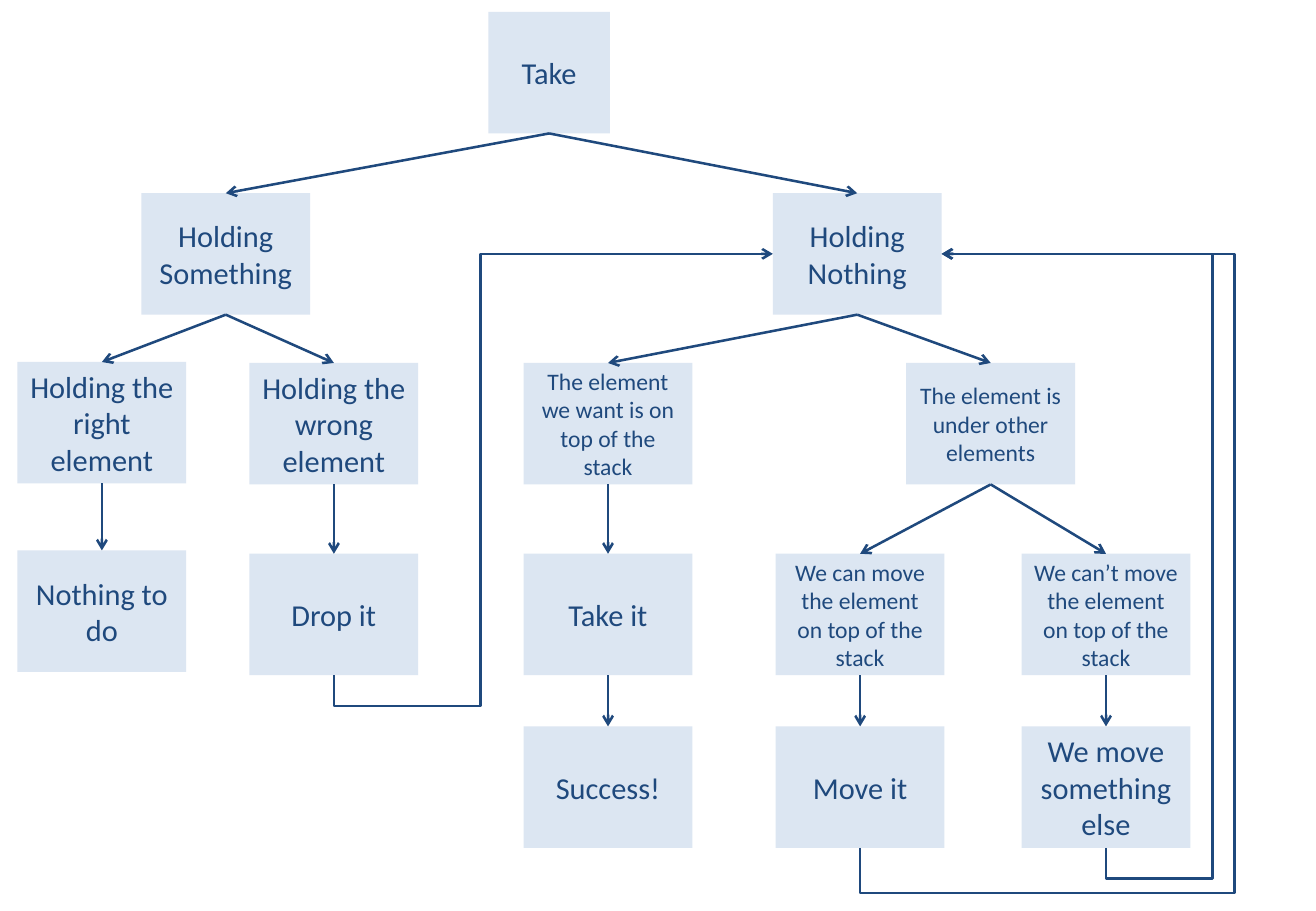
import pptx
import pptx.dml.color
import pptx.enum.shapes
import pptx.enum.text
import pptx.oxml.ns
import pptx.util
import lxml.etree

Cm = pptx.util.Cm
qn = pptx.oxml.ns.qn
THEME = {
    "font": "Calibri",
    "ink": pptx.dml.color.RGBColor.from_string("1F497D"),
    "box": pptx.dml.color.RGBColor.from_string("DCE6F2"),
    "large": pptx.util.Pt(18),
    "small": pptx.util.Pt(14),
    "line": pptx.util.Pt(1.5),
}
BOX_WIDTH, BOX_HEIGHT = 3.53, 2.54
TOP, LEFT, BOTTOM, RIGHT = range(4)
ROWS = [0.25, 4.04, 7.59, 11.58, 15.19]

STEPS = {
    "take": ("Take", 11.48, ROWS[0], "large"),
    "something": ("Holding Something", 4.72, ROWS[1], "large"),
    "nothing": ("Holding Nothing", 17.92, ROWS[1], "large"),
    "right": ("Holding the right element", 2.13, 7.57, "large"),
    "wrong": ("Holding the wrong\nelement", 6.98, ROWS[2], "large"),
    "on top": ("The element we want is on top of the stack", 12.71, ROWS[2], "small"),
    "under": ("The element is under other elements", 20.71, ROWS[2], "small"),
    "done": ("Nothing to do", 2.13, 11.51, "large"),
    "drop": ("Drop it", 6.98, ROWS[3], "large"),
    "take it": ("Take it", 12.71, ROWS[3], "large"),
    "movable": ("We can move the element on top of the stack", 17.98, ROWS[3], "small"),
    "stuck": ("We can’t move the element on top of the stack", 23.12, ROWS[3], "small"),
    "success": ("Success!", 12.71, ROWS[4], "large"),
    "move": ("Move it", 17.98, ROWS[4], "large"),
    "move else": ("We move something else", 23.12, ROWS[4], "large"),
}
BRANCHES = [
    ("take", "something"), ("take", "nothing"),
    ("something", "right"), ("something", "wrong"),
    ("right", "done"), ("wrong", "drop"),
    ("nothing", "on top"), ("nothing", "under"),
    ("on top", "take it"), ("take it", "success"),
    ("under", "movable"), ("under", "stuck"),
    ("movable", "move"), ("stuck", "move else"),
]
RETURNS = [
    ("drop", LEFT, 0.64, 10.04),
    ("move else", RIGHT, 0.64, 25.35),
    ("move", RIGHT, 0.94, 25.81),
]

deck = pptx.Presentation()
deck.slide_width, deck.slide_height = Cm(27.51), Cm(19.05)
slide = deck.slides.add_slide(deck.slide_layouts[6])


def add_arrow(style, source, target, target_side):
    arrow = slide.shapes.add_connector(style, 0, 0, 0, 0)
    arrow.begin_connect(source, BOTTOM)
    arrow.end_connect(target, target_side)
    arrow.line.color.rgb = THEME["ink"]
    arrow.line.width = THEME["line"]
    properties = arrow._element.spPr
    lxml.etree.SubElement(properties.find(qn("a:ln")), qn("a:tailEnd"), type="arrow")
    lxml.etree.SubElement(properties, qn("a:effectLst"))
    return arrow


boxes = {}
for step, (wording, center, top, size) in STEPS.items():
    width = BOX_HEIGHT if step == "take" else BOX_WIDTH
    box = slide.shapes.add_shape(
        pptx.enum.shapes.MSO_SHAPE.RECTANGLE,
        Cm(center - width / 2), Cm(top), Cm(width), Cm(BOX_HEIGHT))
    box.shadow.inherit = False
    box.fill.solid()
    box.fill.fore_color.rgb = THEME["box"]
    box.line.fill.background()
    box.text_frame.text = wording
    box.text_frame.word_wrap = True
    box.text_frame.vertical_anchor = pptx.enum.text.MSO_ANCHOR.MIDDLE
    for paragraph in box.text_frame.paragraphs:
        paragraph.alignment = pptx.enum.text.PP_ALIGN.CENTER
        for run in paragraph.runs:
            run.font.name = THEME["font"]
            run.font.size = THEME[size]
            run.font.color.rgb = THEME["ink"]
    boxes[step] = box

for source, target in BRANCHES:
    add_arrow(pptx.enum.shapes.MSO_CONNECTOR.STRAIGHT, boxes[source], boxes[target], TOP)

for source, side, drop, lane in RETURNS:
    loop = add_arrow(pptx.enum.shapes.MSO_CONNECTOR.ELBOW, boxes[source], boxes["nothing"], side)
    start_x, start_y, end_x, end_y = loop.begin_x, loop.begin_y, loop.end_x, loop.end_y
    rise, run_across = start_y - end_y, end_x - start_x
    loop.width, loop.height = rise, abs(run_across)
    loop.left = (start_x + end_x - loop.width) // 2
    loop.top = (start_y + end_y - loop.height) // 2
    frame = loop._element.spPr.find(qn("a:xfrm"))
    frame.set("rot", "5400000")
    frame.set("flipH", "1")
    frame.set("flipV", "1" if run_across > 0 else "0")
    geometry = loop._element.spPr.find(qn("a:prstGeom"))
    geometry.set("prst", "bentConnector4")
    bends = geometry.find(qn("a:avLst"))
    ratios = [-Cm(drop) / rise, (Cm(lane) - start_x) / run_across]
    for number, ratio in enumerate(ratios, 1):
        lxml.etree.SubElement(
            bends, qn("a:gd"), name=f"adj{number}", fmla=f"val {round(ratio * 100000)}")

deck.save("out.pptx")
